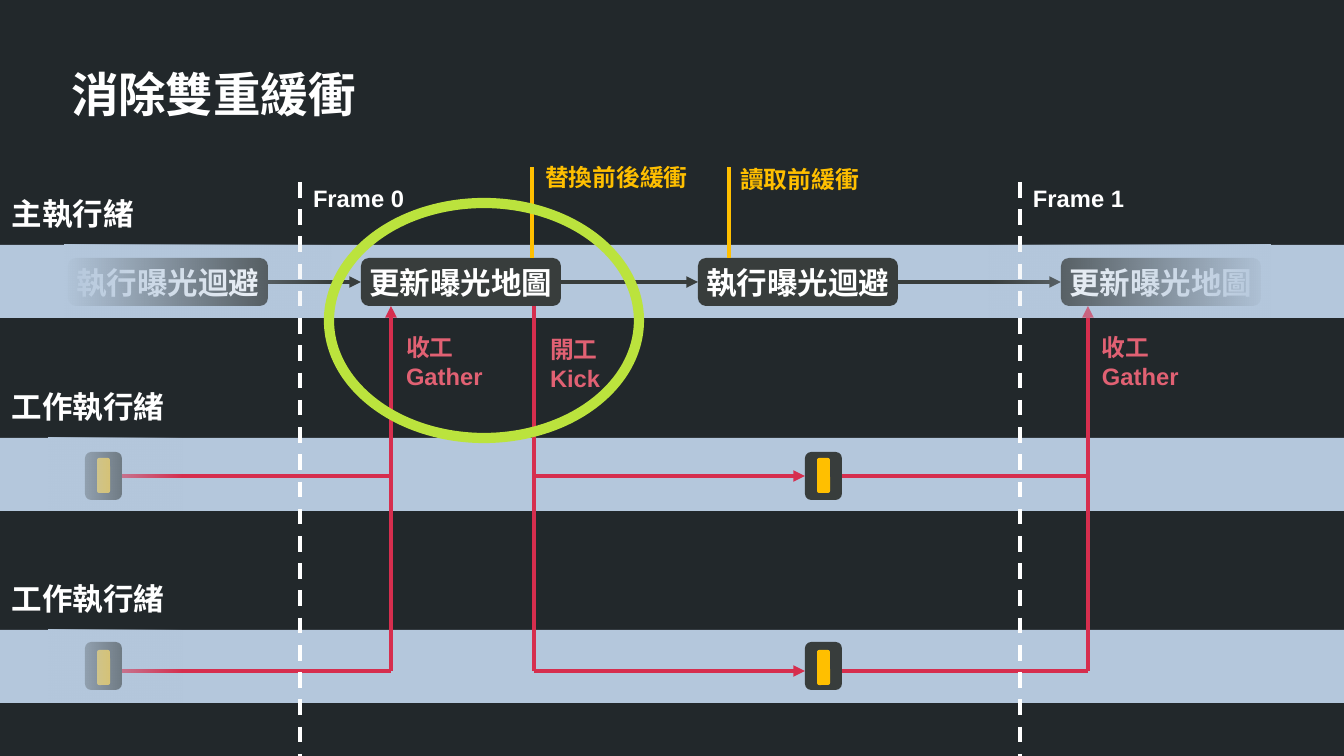
from dataclasses import dataclass

from pptx import Presentation
from pptx.dml.color import RGBColor
from pptx.enum.dml import MSO_LINE
from pptx.enum.shapes import MSO_CONNECTOR, MSO_SHAPE as Shape
from pptx.enum.text import MSO_ANCHOR as Anchor, MSO_AUTO_SIZE, PP_ALIGN as Align
from pptx.oxml.ns import qn
from pptx.oxml.xmlchemy import OxmlElement
from pptx.util import Emu, Inches, Pt

PX = Inches(1) / 122
TOP, LEFT, BOTTOM, RIGHT = range(4)


@dataclass(frozen=True)
class Theme:
    ground: str = "22282B"
    lane: str = "B4C7DC"
    task: str = "383D3C"
    white: str = "FFFFFF"
    gold: str = "FFBF00"
    red: str = "D62E4E"
    pink: str = "E16173"
    green: str = "BBE33D"
    title_size: float = 28
    label_size: float = 18
    note_size: float = 14
    line_width: float = 2.3
    ring_width: float = 6
    label_font: str = "Arial"
    task_font: str = "Calibri"


def px(*lengths):
    return [Emu(round(length * PX)) for length in lengths]


def rgb(colour):
    return RGBColor.from_string(colour)


def set_values(target, values):
    for name, value in values.items():
        setattr(target, name, value)


class Timeline:
    """Holds the theme and the current page, and draws elements on it."""

    def __init__(self, page, theme):
        self.page, self.theme = page, theme
        background = page.background.fill
        background.solid()
        background.fore_color.rgb = rgb(theme.ground)

    def fill_text(self, frame, text, colour, size, font, align=Align.LEFT):
        frame.text = text
        values = {"size": Pt(size), "bold": True, "name": font}
        for para in frame.paragraphs:
            para.alignment = align
            for span in para.runs:
                set_values(span.font, values)
                span.font.color.rgb = rgb(colour)

    def title(self, text, *place):
        box = self.page.shapes.title
        set_values(box, dict(zip(("left", "top", "width", "height"), px(*place))))
        set_values(box.text_frame, {"vertical_anchor": Anchor.TOP, "word_wrap": True,
                                    "auto_size": MSO_AUTO_SIZE.NONE})
        self.fill_text(box.text_frame, text, self.theme.white,
                       self.theme.title_size, self.theme.task_font)

    def label(self, text, *place, colour=None, size=None):
        box = self.page.shapes.add_textbox(*px(*place))
        box.text_frame.word_wrap = True
        self.fill_text(box.text_frame, text, colour or self.theme.white,
                       size or self.theme.note_size, self.theme.label_font)

    def block(self, colour, *place, kind=Shape.RECTANGLE):
        box = self.page.shapes.add_shape(kind, *px(*place))
        box.shadow.inherit = False
        box.fill.solid()
        box.fill.fore_color.rgb = rgb(colour)
        box.line.fill.background()
        return box

    def task(self, text, *place):
        box = self.block(self.theme.task, *place, kind=Shape.ROUNDED_RECTANGLE)
        set_values(box.text_frame, {"word_wrap": False, "vertical_anchor": Anchor.MIDDLE})
        self.fill_text(box.text_frame, text, self.theme.white,
                       self.theme.label_size, self.theme.task_font, Align.CENTER)
        return box

    def fade(self, angle, *place):
        """Covers a place with the lane colour, running out to clear."""
        box = self.block(self.theme.lane, *place)
        box.fill.gradient()
        box.fill.gradient_angle = angle
        for stop, position in zip(box.fill.gradient_stops, (0, 1)):
            stop.position = position
            stop.color.rgb = rgb(self.theme.lane)
        alpha = OxmlElement("a:alpha")
        alpha.set("val", "0")
        list(box.element.spPr.iter(qn("a:srgbClr")))[-1].append(alpha)

    def ring(self, colour, *place):
        box = self.block(colour, *place, kind=Shape.OVAL)
        box.fill.background()
        box.line.color.rgb = rgb(colour)
        box.line.width = Pt(self.theme.ring_width)

    def line(self, colour, *ends, arrow=False, dash=None, start=None, finish=None):
        """Draws a line; start and finish are (box, side) pairs to join."""
        link = self.page.shapes.add_connector(MSO_CONNECTOR.STRAIGHT, *px(*ends))
        if start:
            link.begin_connect(*start)
        if finish:
            link.end_connect(*finish)
        link.line.color.rgb = rgb(colour)
        set_values(link.line, {"width": Pt(self.theme.line_width), "dash_style": dash})
        properties = link.element.spPr
        if arrow:
            head = OxmlElement("a:tailEnd")
            head.set("type", "triangle")
            properties.find(qn("a:ln")).append(head)
        properties.append(OxmlElement("a:effectLst"))


def draw_workers(chart):
    """Draws the worker chips and the red gather and kick lines."""
    red = chart.theme.red
    kick_x, gather_xs = 534, (391, 1088)
    chart.line(red, kick_x, 306, kick_x, 671)
    for x in gather_xs:
        chart.line(red, x, 671, x, 306, arrow=True)
    # The lower wires run a little below the middle of their chips.
    for chip_y, bar_y, wire_y, joined in ((452, 458, 476, True), (642, 650, 671, False)):
        for chip_x, gather_x in zip((85, 805), gather_xs):
            chip = chart.block(chart.theme.task, chip_x, chip_y, 37, 48,
                               kind=Shape.ROUNDED_RECTANGLE)
            chart.block(chart.theme.gold, chip_x + 12, bar_y, 13, 35,
                        kind=Shape.ROUNDED_RECTANGLE)
            chart.line(red, chip_x + 37, wire_y, gather_x, wire_y,
                       start=(chip, RIGHT) if joined else None)
        chart.line(red, kick_x, wire_y, chip_x, wire_y, arrow=True,
                   finish=(chip, LEFT) if joined else None)


def draw_tasks(chart):
    update, avoid = "更新曝光地圖", "執行曝光迴避"
    steps = ((avoid, 68), (update, 361), (avoid, 698), (update, 1061))
    boxes = [chart.task(text, x, 258, 200, 48) for text, x in steps]
    for before, after in zip(boxes, boxes[1:]):
        chart.line(chart.theme.task, 0, 0, 0, 0, arrow=True,
                   start=(before, RIGHT), finish=(after, LEFT))


def main():
    deck = Presentation()
    deck.slide_width, deck.slide_height = px(1344, 756)
    theme = Theme()
    chart = Timeline(deck.slides.add_slide(deck.slide_layouts[5]), theme)
    chart.title("消除雙重緩衝", 59, 59, 320, 60)

    lane_tops = (245, 438, 630)
    for text, top in zip(("主執行緒", "工作執行緒", "工作執行緒"), lane_tops):
        chart.block(theme.lane, 0, top, 1344, 73)
        chart.label(text, 0, top - 56, 190, 52, size=theme.label_size)

    draw_workers(chart)
    for number, x in enumerate((300, 1020)):
        chart.label(f"Frame {number}", x + 1, 178, 116, 39)
        chart.line(theme.white, x, 182, x, 756, dash=MSO_LINE.DASH)
    for top in lane_tops[1:]:
        chart.fade(0, 49, top, 134, 73)

    draw_tasks(chart)
    chart.fade(0, 65, lane_tops[0], 268, 73)
    chart.fade(180, 988, lane_tops[0], 283, 73)

    for text, x, y in (("收工\nGather", 394, 327), ("開工\nKick", 538, 329),
                       ("收工\nGather", 1090, 327)):
        chart.label(text, x, y, 101, 71, colour=theme.pink)
    for text, line_x, x, y in (("替換前後緩衝", 532, 533, 157),
                               ("讀取前緩衝", 729, 728, 159)):
        chart.line(theme.gold, line_x, 258, line_x, 167)
        chart.label(text, x, y, 189, 73, colour=theme.gold)
    chart.ring(theme.green, 329, 203, 310, 235)
    deck.save("out.pptx")


if __name__ == "__main__":
    main()
